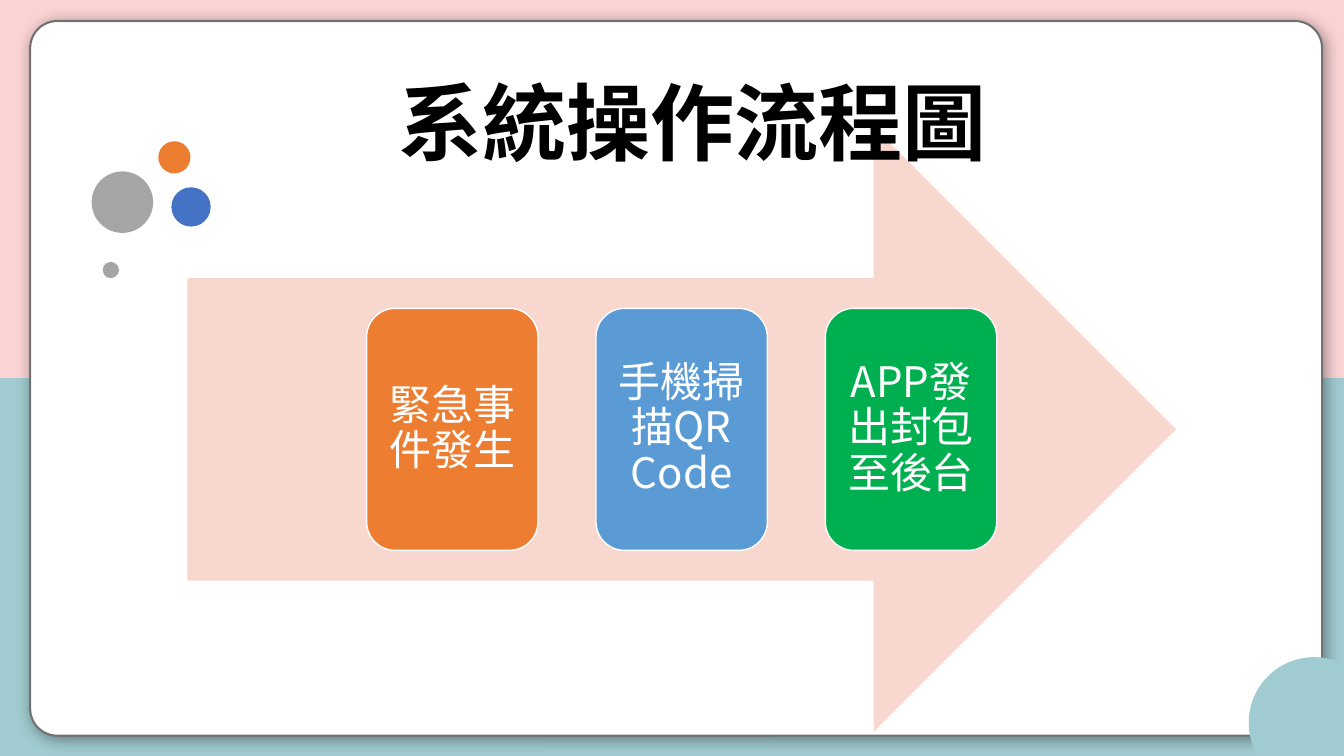
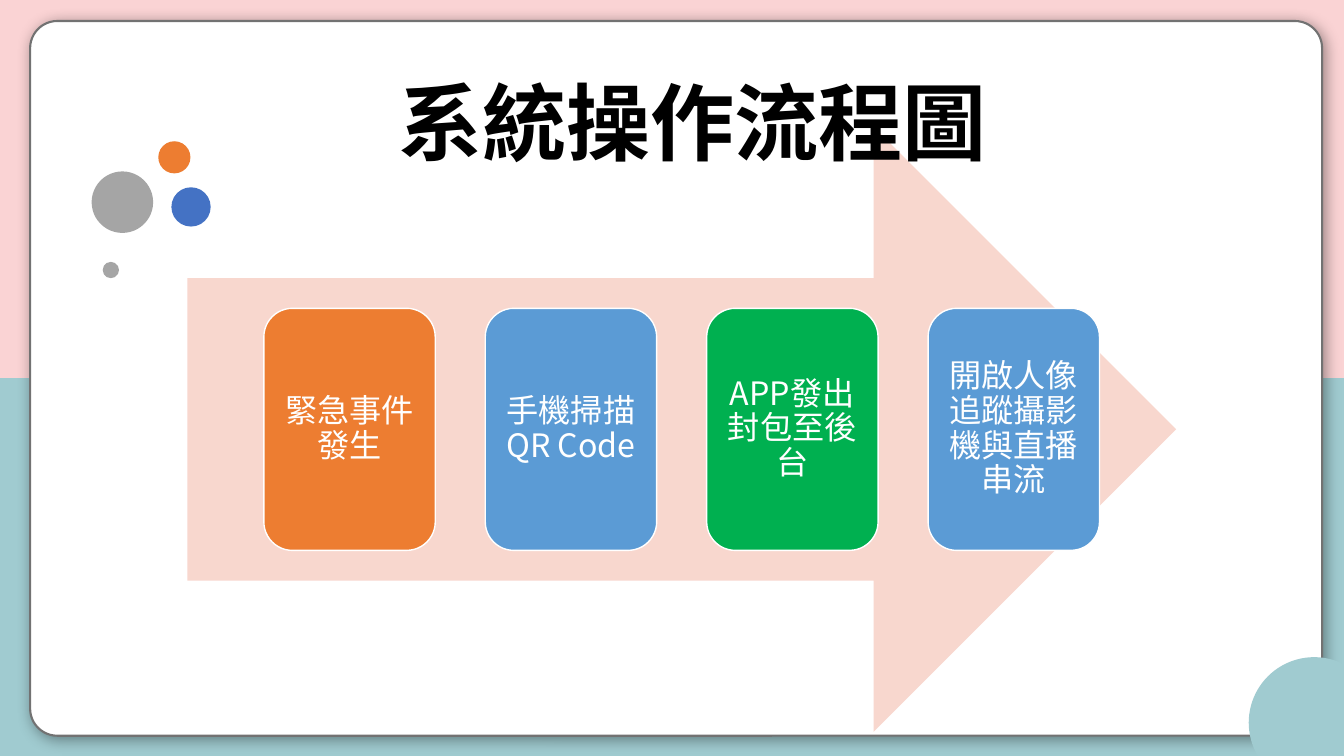
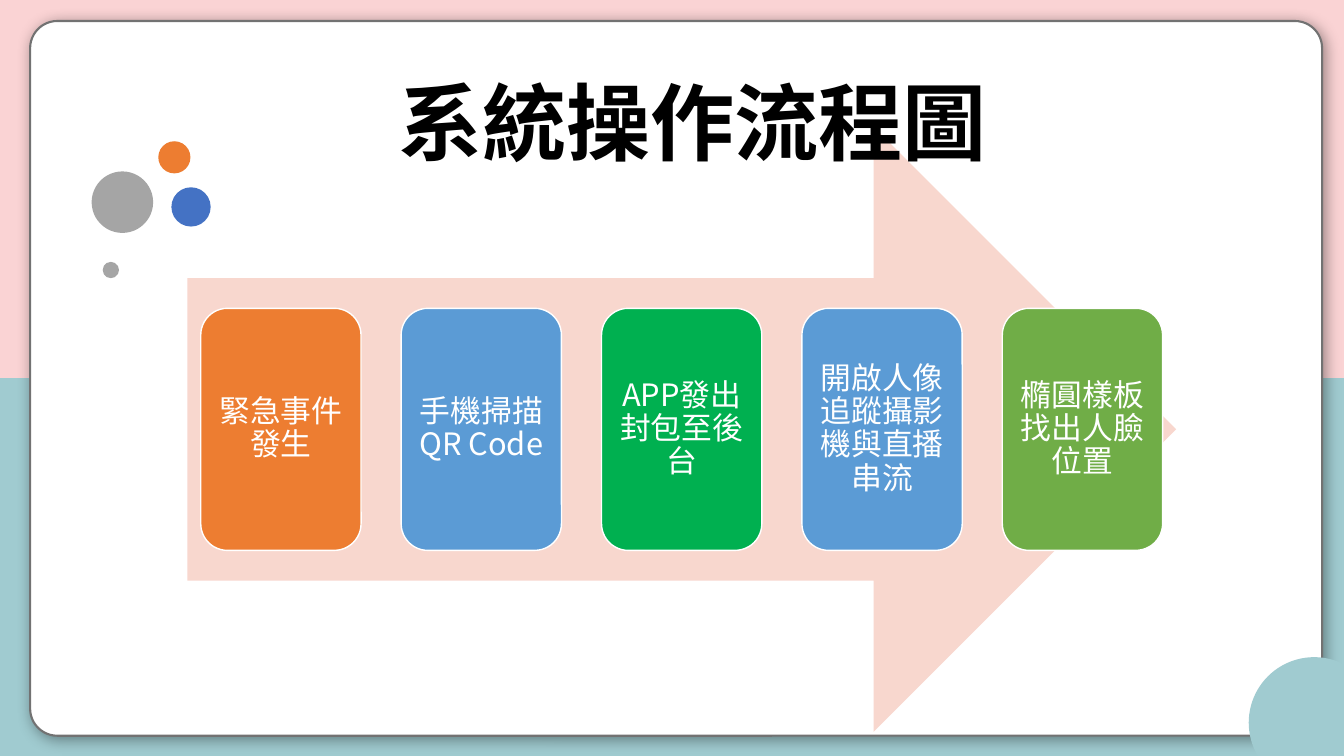
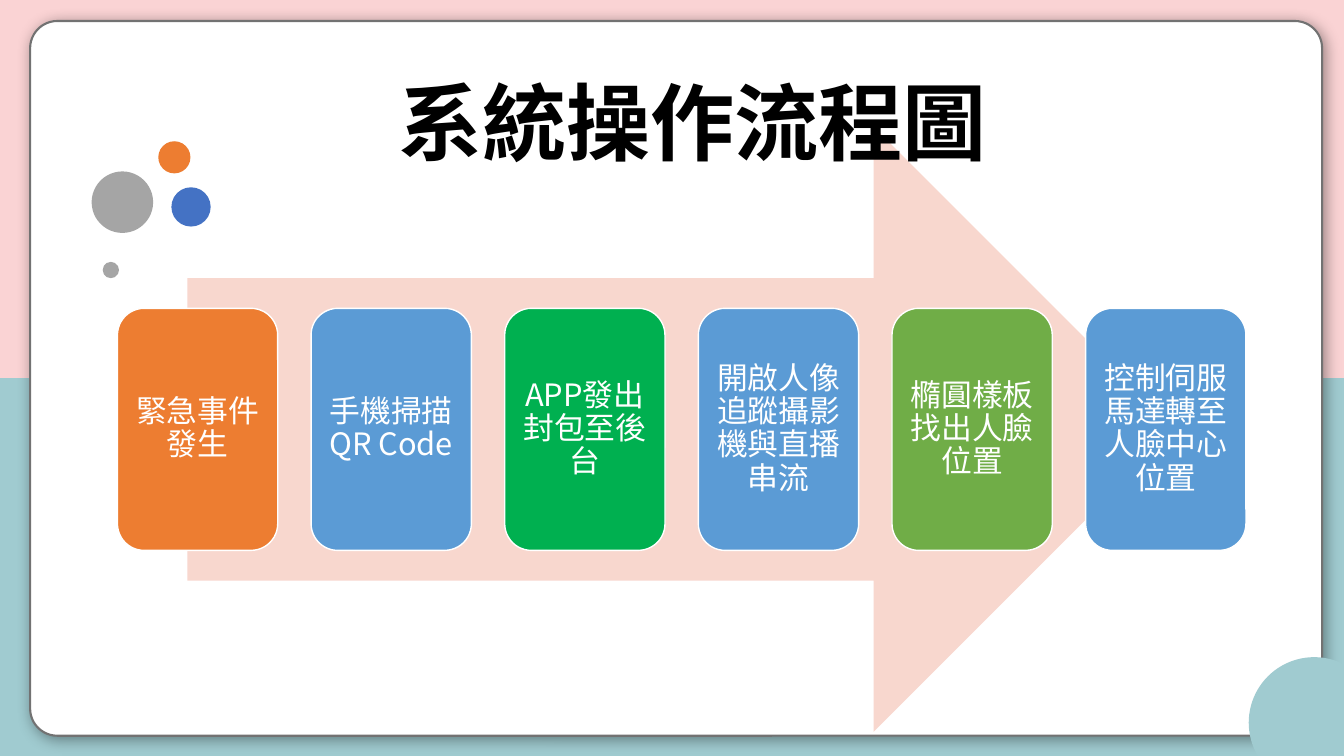
"""Build four slides that reveal the system operation flow step by step."""
from lxml import etree
from pptx import Presentation
from pptx import util as u
from pptx.dml.color import RGBColor
from pptx.enum import shapes, text
from pptx.oxml import ns

FONT = "Noto Sans CJK SC"
TITLE = "系統操作流程圖"
COLOURS = {
    "teal": "A0CBD0", "pink": "FAD3D4", "white": "FFFFFF", "edge": "727272",
    "black": "000000", "navy": "4472C4", "orange": "ED7D31", "grey": "A5A5A5",
    "peach": "F8D7CE", "blue": "5B9BD5", "emerald": "00B050", "olive": "70AD47",
}
WIDTH, HEIGHT = 33.87, 19.05
RECTANGLE = shapes.MSO_SHAPE.RECTANGLE
ROUNDED = shapes.MSO_SHAPE.ROUNDED_RECTANGLE
OVAL = shapes.MSO_SHAPE.OVAL
DOTS = [
    (4.32, 4.72, 0.99, "navy"),
    (3.99, 3.56, 0.81, "orange"),
    (2.59, 6.6, 0.41, "grey"),
    (2.31, 4.32, 1.55, "grey"),
]
STEPS = [
    ("緊急事件發生", "orange"),
    ("手機掃描QR Code", "blue"),
    ("APP發出封包至後台", "emerald"),
    ("開啟人像追蹤攝影機與直播串流", "blue"),
    ("橢圓樣板找出人臉位置", "olive"),
    ("控制伺服馬達轉至人臉中心位置", "blue"),
]
FLOWS = [
    {"count": 3, "width": 4.32, "pitch": 5.78, "size": 30, "inset": 0.3},
    {"count": 4, "width": 4.32, "pitch": 5.58, "size": 23, "inset": 0.25},
    {"count": 5, "width": 4.04, "pitch": 5.05, "size": 22, "inset": 0.23},
    {"count": 6, "width": 4.04, "pitch": 4.88, "size": 22, "inset": 0.23},
]
ARROW_LEFT, ARROW_TOP, ARROW_WIDTH, ARROW_HEIGHT = 4.72, 3.2, 24.92, 15.24
CARD_HEIGHT = 6.1


def add_block(slide, kind, left, top, width, height, fill, line=None, weight=1):
    """Add a flat filled shape, measured in centimetres."""
    shape = slide.shapes.add_shape(kind, u.Cm(left), u.Cm(top), u.Cm(width), u.Cm(height))
    shape.shadow.inherit = False
    shape.fill.solid()
    shape.fill.fore_color.rgb = RGBColor.from_string(COLOURS[fill])
    if line:
        shape.line.color.rgb = RGBColor.from_string(COLOURS[line])
        shape.line.width = u.Pt(weight)
    else:
        shape.line.fill.background()
    return shape


def write(frame, words, size, colour, alignment, bold=False):
    """Fill a text frame with one styled paragraph."""
    frame.word_wrap = True
    paragraph = frame.paragraphs[0]
    paragraph.text = words
    paragraph.alignment = alignment
    paragraph.line_spacing = 0.9
    paragraph.font.size = u.Pt(size)
    paragraph.font.bold = bold
    paragraph.font.color.rgb = RGBColor.from_string(COLOURS[colour])
    paragraph.font.name = FONT
    defaults = paragraph._p.pPr.find(ns.qn("a:defRPr"))
    etree.SubElement(defaults, ns.qn("a:ea"), typeface=FONT)
    return paragraph


presentation = Presentation()
presentation.slide_width = u.Cm(WIDTH)
presentation.slide_height = u.Cm(HEIGHT)

for flow in FLOWS:
    slide = presentation.slides.add_slide(presentation.slide_layouts[6])

    add_block(slide, RECTANGLE, 0, HEIGHT / 2, WIDTH, HEIGHT / 2, "teal")
    add_block(slide, RECTANGLE, 0, 0, WIDTH, HEIGHT / 2, "pink")
    panel = add_block(slide, ROUNDED, 0.76, 0.53, 32.56, 18.01, "white", "edge", 1.5)
    panel.adjustments[0] = 0.038
    effects = panel._element.spPr.find(ns.qn("a:effectLst"))
    shadow = etree.SubElement(effects, ns.qn("a:outerShdw"), blurRad=str(u.Pt(11)),
                              dist=str(u.Pt(3)), dir="2700000", algn="tl", rotWithShape="0")
    shade = etree.SubElement(shadow, ns.qn("a:srgbClr"), val=COLOURS["black"])
    etree.SubElement(shade, ns.qn("a:alpha"), val="40000")

    add_block(slide, OVAL, 31.47, 16.56, 3.3, 3.3, "teal")
    for left, top, diameter, colour in DOTS:
        add_block(slide, OVAL, left, top, diameter, diameter, colour)

    add_block(slide, shapes.MSO_SHAPE.RIGHT_ARROW, ARROW_LEFT, ARROW_TOP,
              ARROW_WIDTH, ARROW_HEIGHT, "peach")
    row_width = flow["pitch"] * (flow["count"] - 1) + flow["width"]
    row_left = ARROW_LEFT + (ARROW_WIDTH - row_width) / 2
    card_top = ARROW_TOP + (ARROW_HEIGHT - CARD_HEIGHT) / 2
    for index, (words, colour) in enumerate(STEPS[:flow["count"]]):
        card = add_block(slide, ROUNDED, row_left + index * flow["pitch"], card_top,
                         flow["width"], CARD_HEIGHT, colour, "white")
        frame = card.text_frame
        frame.vertical_anchor = text.MSO_ANCHOR.MIDDLE
        frame.margin_left = frame.margin_right = u.Cm(flow["inset"])
        frame.margin_top = frame.margin_bottom = u.Cm(flow["inset"])
        write(frame, words, flow["size"], "white", text.PP_ALIGN.CENTER)

    title = slide.shapes.add_textbox(u.Cm(9.8), u.Cm(1.93), u.Cm(17.37), u.Cm(3.94))
    heading = write(title.text_frame, TITLE, 60, "black", text.PP_ALIGN.LEFT, bold=True)
    heading.space_before = u.Pt(10)

presentation.save("out.pptx")
